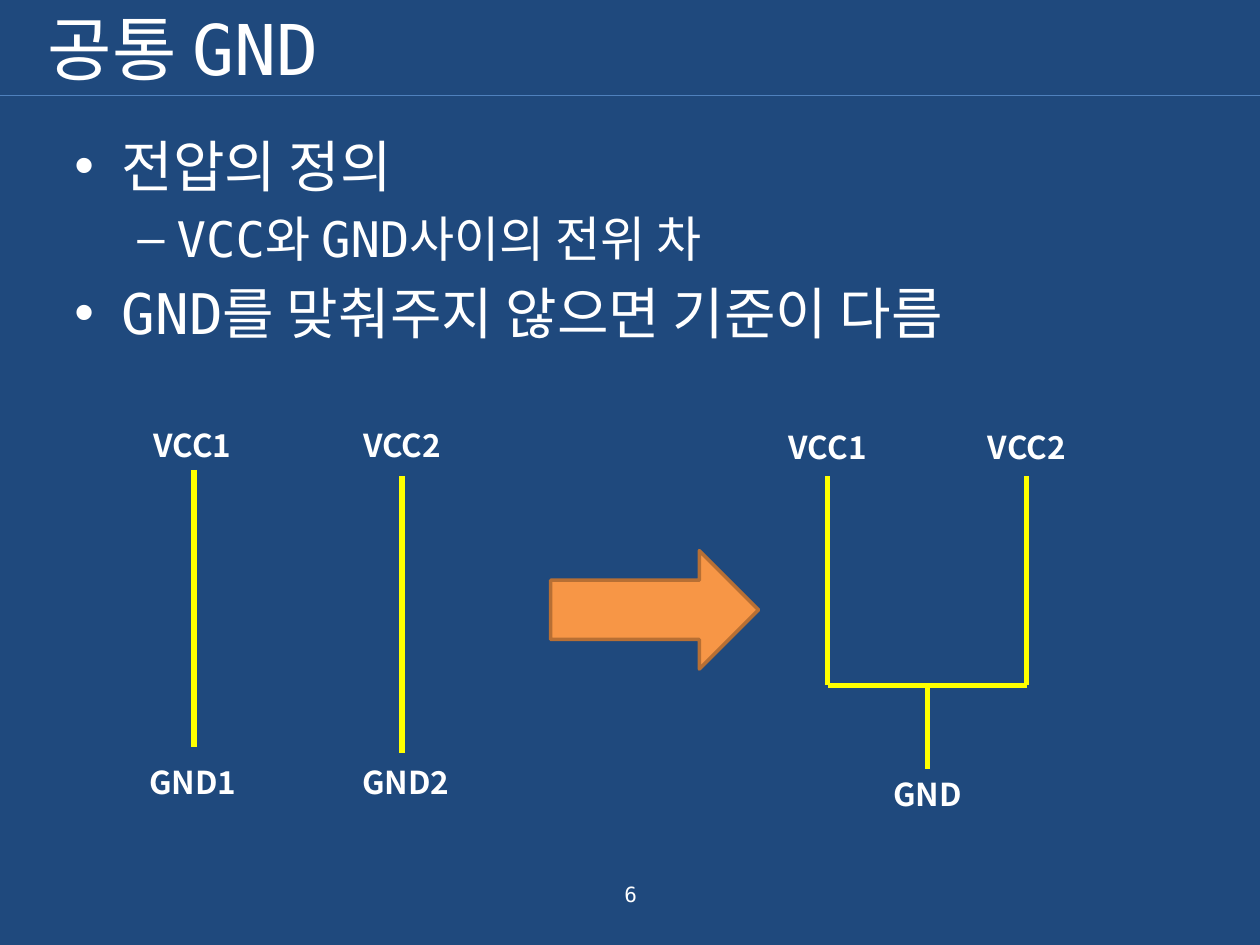
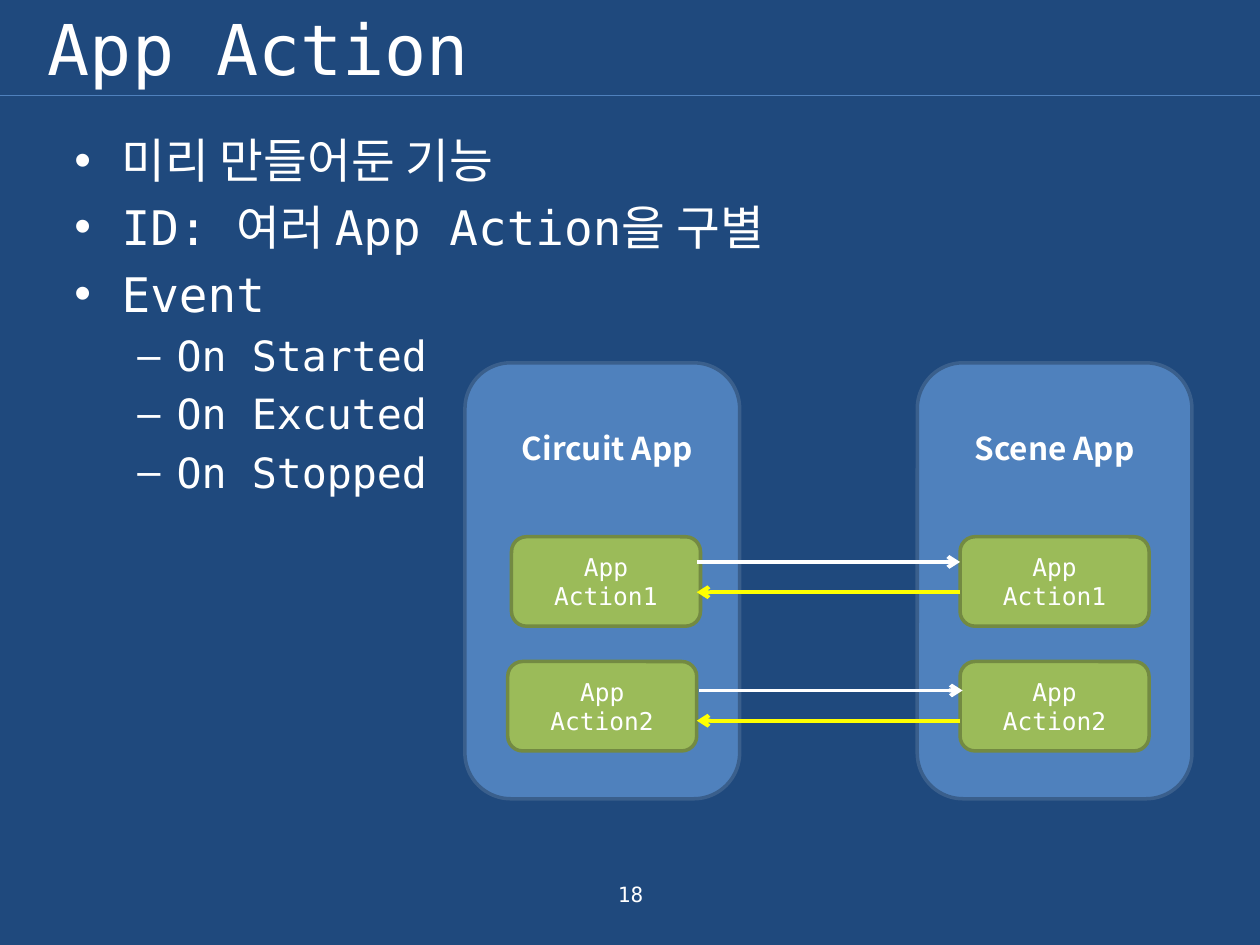
import pptx
import pptx.util
import pptx.dml.color
import pptx.enum.shapes
import pptx.enum.text
import pptx.oxml.ns
from lxml import etree

Inches = pptx.util.Inches
Pt = pptx.util.Pt
SHAPE = pptx.enum.shapes.MSO_SHAPE
ALIGN = pptx.enum.text.PP_ALIGN
ANCHOR = pptx.enum.text.MSO_ANCHOR
AUTO_SIZE = pptx.enum.text.MSO_AUTO_SIZE

COLORS = {
    "navy": "1F497D", "blue": "4F81BD", "blue_edge": "3A5F8C",
    "green": "9BBB59", "green_edge": "738A42",
    "orange": "F79646", "orange_edge": "B76F34",
    "yellow": "FFFF00", "white": "FFFFFF",
}
MONO = "DejaVu Sans Mono"
SANS = "Noto Sans CJK KR"


def rgb(name):
    return pptx.dml.color.RGBColor.from_string(COLORS[name])


def place(sp, x, y, w, h):
    sp.left, sp.top, sp.width, sp.height = (Inches(v) for v in (x, y, w, h))


def style(p, size, name=MONO, bold=False, align=ALIGN.CENTER):
    p.alignment = align
    p.font.size = Pt(size)
    p.font.name = name
    p.font.bold = bold
    p.font.color.rgb = rgb("white")


def add_line(s, x1, y1, x2, y2, color, width, arrow=False):
    c = s.shapes.add_connector(
        pptx.enum.shapes.MSO_CONNECTOR.STRAIGHT,
        Inches(x1), Inches(y1), Inches(x2), Inches(y2))
    c.line.color.rgb = rgb(color)
    c.line.width = Pt(width)
    if arrow:
        tail = etree.SubElement(c.line._get_or_add_ln(), pptx.oxml.ns.qn("a:tailEnd"))
        tail.set("type", "arrow")
    etree.SubElement(c._element.spPr, pptx.oxml.ns.qn("a:effectLst"))


def add_block(s, kind, x, y, w, h, color, text=""):
    sp = s.shapes.add_shape(kind, Inches(x), Inches(y), Inches(w), Inches(h))
    sp.shadow.inherit = False
    sp.fill.solid()
    sp.fill.fore_color.rgb = rgb(color)
    sp.line.color.rgb = rgb(color + "_edge")
    sp.line.width = Pt(2)
    if text:
        tf = sp.text_frame
        tf.word_wrap = True
        tf.vertical_anchor = ANCHOR.MIDDLE
        tf.text = text
        style(tf.paragraphs[0], 14)


def add_text(s, x, y, w, text, size=18, name=SANS, bold=True, anchor=ANCHOR.TOP):
    tf = s.shapes.add_textbox(Inches(x), Inches(y), Inches(w), Inches(0.4)).text_frame
    tf.word_wrap = True
    tf.vertical_anchor = anchor
    tf.text = text
    style(tf.paragraphs[0], size, name, bold)


def add_page(prs, title, number, items, sizes, body_height):
    s = prs.slides.add_slide(prs.slide_layouts[1])
    add_line(s, 0, 0.76, 10, 0.76, "blue", 0.75)
    place(s.shapes.title, 0.28, 0, 7.56, 0.76)
    tf = s.shapes.title.text_frame
    tf.text = title
    tf.vertical_anchor = ANCHOR.MIDDLE
    tf.auto_size = AUTO_SIZE.NONE
    style(tf.paragraphs[0], 40, align=ALIGN.LEFT)

    body = s.placeholders[1]
    place(body, 0.49, 0.99, 8.76, body_height)
    tf = body.text_frame
    tf.auto_size = AUTO_SIZE.NONE
    tf.text = "\n".join(text for level, text in items)
    for p, (level, text) in zip(tf.paragraphs, items):
        p.level = level
        style(p, sizes[level], align=ALIGN.LEFT)

    add_text(s, 4.03, 6.9, 1.95, str(number), 12, MONO, False, ANCHOR.MIDDLE)
    return s


def add_separate_grounds(s, x, y):
    for i, (wire, top, label, ground) in enumerate(
            [(0.48, 0.4, 0, 0), (2.13, 0.45, 1.66, 1.69)], 1):
        add_line(s, x + wire, y + top, x + wire, y + top + 2.2, "yellow", 3)
        add_text(s, x + label, y, 0.94, f"VCC{i}")
        add_text(s, x + ground, y + 2.68, 0.94, f"GND{i}")


def add_common_ground(s, x, y):
    gap, first, top, joint, bottom = 1.58, 0.47, 0.43, 2.09, 2.75
    for i in range(2):
        wire = x + first + i * gap
        add_line(s, wire, y + top, wire, y + joint, "yellow", 3)
        add_text(s, x + i * gap, y, 0.94, f"VCC{i + 1}")
    left = x + first
    middle = left + gap / 2
    add_line(s, middle, y + joint, middle, y + bottom, "yellow", 3)
    add_line(s, left, y + joint, left + gap, y + joint, "yellow", 3)
    add_text(s, x + gap / 2, y + bottom, 0.94, "GND")


def add_app_panel(s, x, y, name, name_offset, action_offsets):
    add_block(s, SHAPE.ROUNDED_RECTANGLE, x, y, 2.18, 3.46, "blue")
    for i, offset in enumerate(action_offsets):
        add_block(s, SHAPE.ROUNDED_RECTANGLE, x + offset, y + 1.38 + i * 0.99,
                  1.5, 0.71, "green", f"App Action{i + 1}")
    add_text(s, x + name_offset, y + 0.48, 1.84, name)


def add_exchanges(s, x, y):
    for i, shift in enumerate([0, 0.02]):
        send = y + i * 1.02
        add_line(s, x + shift, send, x + 2.09 + shift, send, "white", 2.25, True)
        add_line(s, x + 2.09, send + 0.24, x, send + 0.24, "yellow", 2.25, True)


def build_ground_slide(prs):
    items = [(0, "전압의 정의"), (1, "VCC와 GND사이의 전위 차"),
             (0, "GND를 맞춰주지 않으면 기준이 다름")]
    s = add_page(prs, "공통 GND", 6, items, (32, 28), 1.89)
    add_separate_grounds(s, 1.06, 3.33)
    add_common_ground(s, 6.1, 3.35)
    add_block(s, SHAPE.RIGHT_ARROW, 4.37, 4.37, 1.65, 0.94, "orange")


def build_action_slide(prs):
    items = [(0, "미리 만들어둔 기능"), (0, "ID: 여러 App Action을 구별"), (0, "Event"),
             (1, "On Started"), (1, "On Excuted"), (1, "On Stopped")]
    s = add_page(prs, "App Action", 18, items, (27.2, 23.8), 2.76)
    add_app_panel(s, 3.69, 2.88, "Circuit App", 0.21, (0.37, 0.34))
    add_app_panel(s, 7.28, 2.88, "Scene App", 0.17, (0.34, 0.34))
    add_exchanges(s, 5.53, 4.46)


def main():
    prs = pptx.Presentation()
    prs.slide_width, prs.slide_height = Inches(10), Inches(7.5)
    fill = prs.slide_master.background.fill
    fill.solid()
    fill.fore_color.rgb = rgb("navy")
    build_ground_slide(prs)
    build_action_slide(prs)
    prs.save("out.pptx")


if __name__ == "__main__":
    main()
